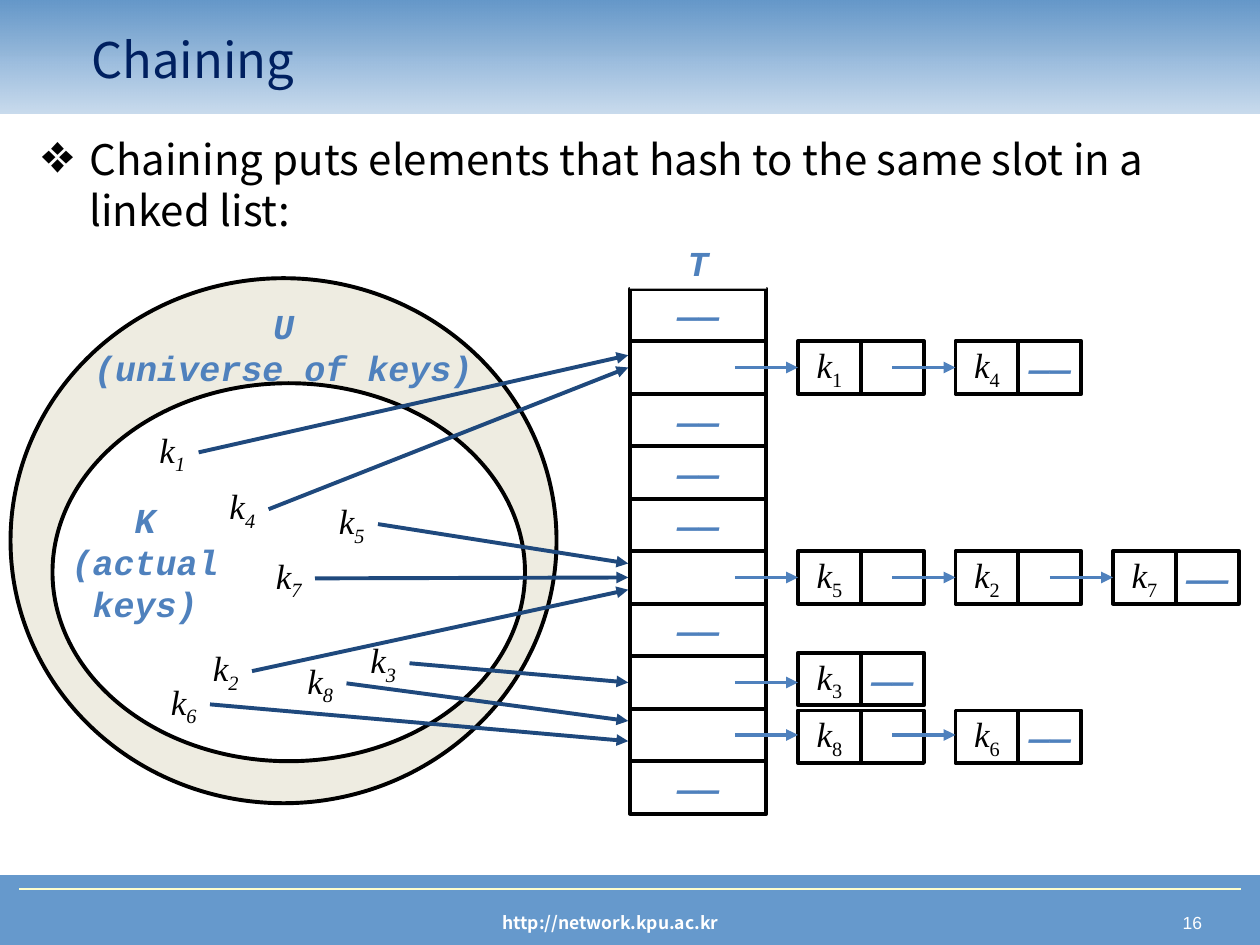
from lxml.etree import SubElement
from pptx import Presentation
from pptx.dml.color import RGBColor
from pptx.enum.shapes import MSO_CONNECTOR as Connector, MSO_SHAPE as Shape
from pptx.enum.text import MSO_ANCHOR as Anchor, PP_ALIGN as Align
from pptx.oxml.ns import qn
from pptx.util import Pt

BLACK = RGBColor(0x00, 0x00, 0x00)
WHITE = RGBColor(0xFF, 0xFF, 0xFF)
BAND_BLUE = RGBColor(0x66, 0x99, 0xCC)
BAND_DEEP = RGBColor(0x64, 0x97, 0xC9)
RULE_YELLOW = RGBColor(0xFF, 0xFF, 0xCC)
TITLE_NAVY = RGBColor(0x00, 0x20, 0x60)
ACCENT = RGBColor(0x4F, 0x81, 0xBD)
HASH_BLUE = RGBColor(0x1F, 0x49, 0x7D)
UNIVERSE_TAN = RGBColor(0xEE, 0xEC, 0xE1)

SANS, MONO, SERIF = "Noto Sans CJK KR", "Courier New", "Times New Roman"
NIL = "——"

TABLE_X, TABLE_Y, SLOT_W, ROW_H = 360, 165, 78, 30
SLOT_COUNT = 10
CHAIN_X, FIELD_W, NODE_STEP = 456, 36, 90

# slot: (top of the chain, key indexes in list order)
CHAINS = {1: (195, "14"), 5: (315, "527"), 7: (373, "3"), 8: (406, "86")}

# key index, label left, label top, height at which its arrow meets the table
KEYS = [
    ("1", 84, 241, 203), ("4", 124, 273.5, 210), ("5", 186.5, 282, 322),
    ("7", 150.5, 313, 330), ("2", 114.5, 366, 337), ("3", 204.5, 361.5, 390),
    ("8", 168.5, 373, 412), ("6", 90.5, 385, 423.5),
]


def add_box(slide, preset, left, top, width, height, fill=WHITE, line=BLACK, weight=2.25):
    box = slide.shapes.add_shape(preset, Pt(left), Pt(top), Pt(width), Pt(height))
    box.shadow.inherit = False
    box.fill.solid()
    box.fill.fore_color.rgb = fill
    if line is None:
        box.line.fill.background()
    else:
        box.line.color.rgb = line
        box.line.width = Pt(weight)
    return box


def add_text_area(slide, left, top, width, height):
    return slide.shapes.add_textbox(Pt(left), Pt(top), Pt(width), Pt(height))


def add_line(slide, start, end, color, weight=2.25, arrow=True):
    line = slide.shapes.add_connector(Connector.STRAIGHT, *map(Pt, start + end))
    line.line.color.rgb = color
    line.line.width = Pt(weight)
    properties = line._element.spPr
    if arrow:
        SubElement(properties.find(qn("a:ln")), qn("a:tailEnd"), type="triangle")
    SubElement(properties, qn("a:effectLst"))


def style_run(run, font, size, color, bold=False, italic=False):
    run.font.name = font
    run.font.size = Pt(size)
    run.font.color.rgb = color
    run.font.bold = bold
    run.font.italic = italic


def write(holder, text, font, size, color, align=Align.CENTER, wrap=False, **style):
    frame = holder.text_frame
    frame.text = text
    frame.word_wrap = wrap
    frame.vertical_anchor = Anchor.MIDDLE
    paragraph = frame.paragraphs[0]
    paragraph.alignment = align
    for run in paragraph.runs:
        style_run(run, font, size, color, **style)


def write_label(holder, text):
    write(holder, text, MONO, 20, ACCENT, bold=True, italic=True)


def write_key(holder, index, italic_index):
    """Write k with a subscript index."""
    write(holder, "k", SERIF, 20, BLACK, italic=True)
    subscript = holder.text_frame.paragraphs[0].add_run()
    subscript.text = index
    style_run(subscript, SERIF, 20, BLACK, italic=italic_index)
    subscript.font._element.set("baseline", "-25000")


def add_header(slide):
    band = add_box(slide, Shape.RECTANGLE, 0, 0, 720, 65, line=None)
    band.fill.gradient()
    band.fill.gradient_angle = 90
    for stop, color in zip(band.fill.gradient_stops, (BAND_BLUE, BAND_DEEP)):
        stop.color.rgb = color
    faded = next(band._element.iter(qn("a:srgbClr")))
    SubElement(faded, qn("a:alpha"), val="35000")

    title = slide.shapes.title
    slide.shapes._spTree.append(title._element)  # in front of the band
    title.left, title.top, title.width, title.height = map(Pt, (45, 11, 608, 45))
    write(title, "Chaining", SANS, 28, TITLE_NAVY, Align.LEFT, wrap=True)


def add_footer(slide):
    add_box(slide, Shape.RECTANGLE, 0, 500.5, 720, 39.5, BAND_BLUE, BAND_BLUE, 0.75)
    page = add_text_area(slide, 534, 517.5, 160, 19.5)
    write(page, "16", "Arial", 10, WHITE, Align.RIGHT, wrap=True)
    address = add_text_area(slide, 163, 517.5, 371.5, 19.5)
    write(address, "http://network.kpu.ac.kr", SANS, 10, WHITE, wrap=True, bold=True)
    add_line(slide, (11, 508), (709, 508), RULE_YELLOW, 1.5, arrow=False)


def add_statement(slide):
    body = add_text_area(slide, 17, 73, 680.5, 416)
    frame = body.text_frame
    frame.text = "Chaining puts elements that hash to the same slot in a linked list:"
    frame.word_wrap = True
    paragraph = frame.paragraphs[0]
    properties = paragraph._p.get_or_add_pPr()
    properties.set("marL", str(Pt(27)))
    properties.set("indent", str(Pt(-27)))
    SubElement(properties, qn("a:buSzPct"), val="130000")
    SubElement(properties, qn("a:buChar"), char="❖")
    style_run(paragraph.runs[0], SANS, 24, BLACK)


def add_key_sets(slide):
    add_box(slide, Shape.OVAL, 6, 159, 312, 300, UNIVERSE_TAN)
    add_box(slide, Shape.OVAL, 30, 219, 270, 216)
    write_label(add_text_area(slide, 42, 170, 240, 55.5), "U\v(universe of keys)")
    write_label(add_text_area(slide, 32, 281.5, 102, 79), "K\v(actual\vkeys)")


def add_hash_table(slide):
    for slot in range(SLOT_COUNT):
        cell = add_box(slide, Shape.RECTANGLE, TABLE_X, TABLE_Y + slot * ROW_H, SLOT_W, ROW_H)
        if slot not in CHAINS:
            write_label(cell, NIL)
    heading = add_box(slide, Shape.RECTANGLE, TABLE_X, TABLE_Y - ROW_H, SLOT_W, ROW_H, line=None)
    write_label(heading, "T")


def add_hashed_key(slide, index, left, top, target_y):
    write_key(add_text_area(slide, left, top, 29, 34.5), index, italic_index=True)
    add_line(slide, (left + 29.5, top + 17.5), (TABLE_X - 1, target_y), HASH_BLUE)


def add_chain(slide, slot, top, indexes):
    for position, index in enumerate(indexes):
        left = CHAIN_X + position * NODE_STEP
        key = add_box(slide, Shape.RECTANGLE, left, top, FIELD_W, ROW_H)
        write_key(key, index, italic_index=False)
        pointer = add_box(slide, Shape.RECTANGLE, left + FIELD_W, top, FIELD_W, ROW_H)
        if position == len(indexes) - 1:
            write_label(pointer, NIL)
    middle = TABLE_Y + (slot + 0.5) * ROW_H
    for position in range(len(indexes)):
        head_x = CHAIN_X + position * NODE_STEP
        add_line(slide, (head_x - FIELD_W, middle), (head_x, middle), ACCENT)


def main():
    deck = Presentation()
    deck.slide_width, deck.slide_height = Pt(720), Pt(540)
    slide = deck.slides.add_slide(deck.slide_layouts[5])
    add_footer(slide)
    add_header(slide)
    add_statement(slide)
    add_key_sets(slide)
    add_hash_table(slide)
    for key in KEYS:
        add_hashed_key(slide, *key)
    for slot, (top, indexes) in CHAINS.items():
        add_chain(slide, slot, top, indexes)
    deck.save("out.pptx")


if __name__ == "__main__":
    main()
